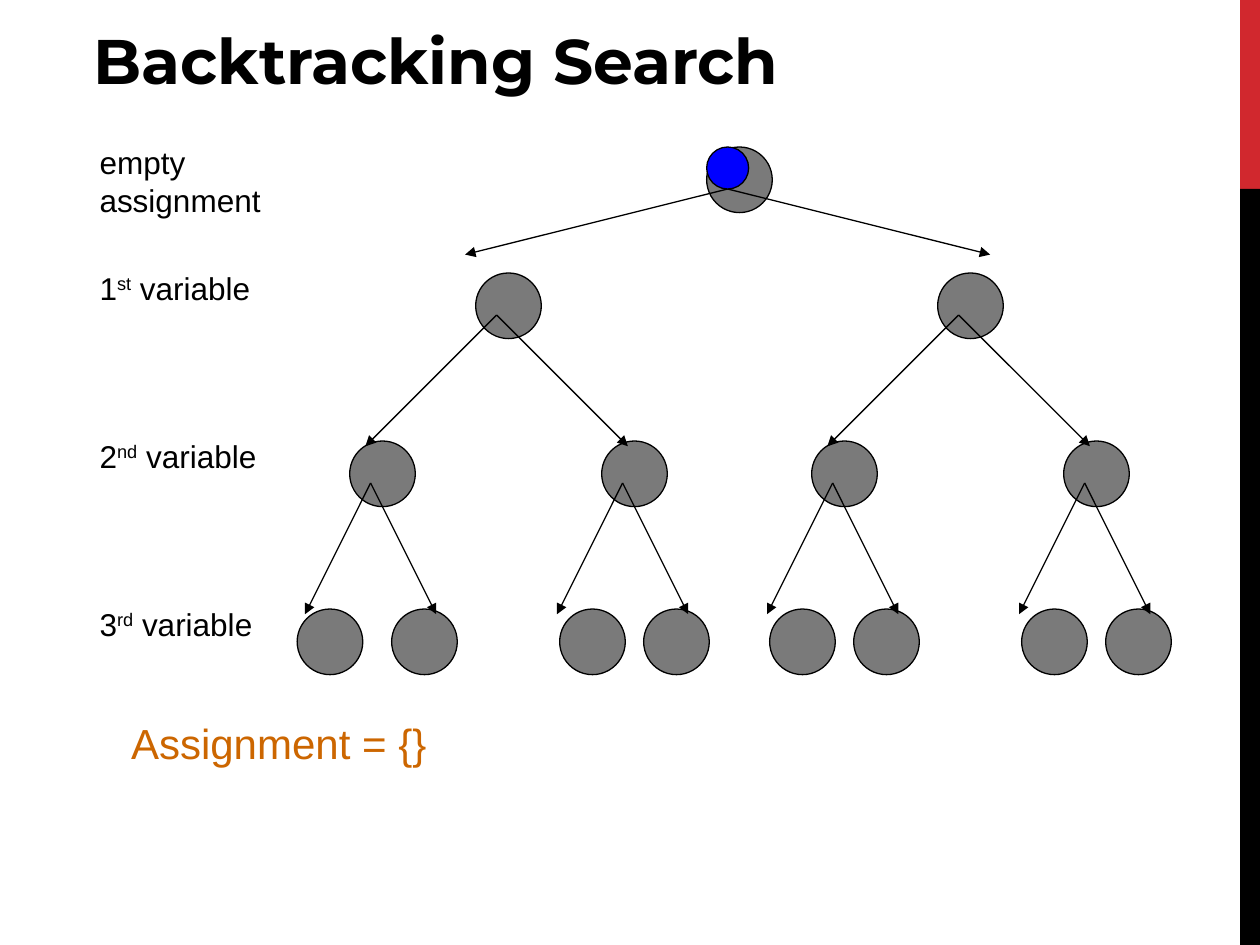
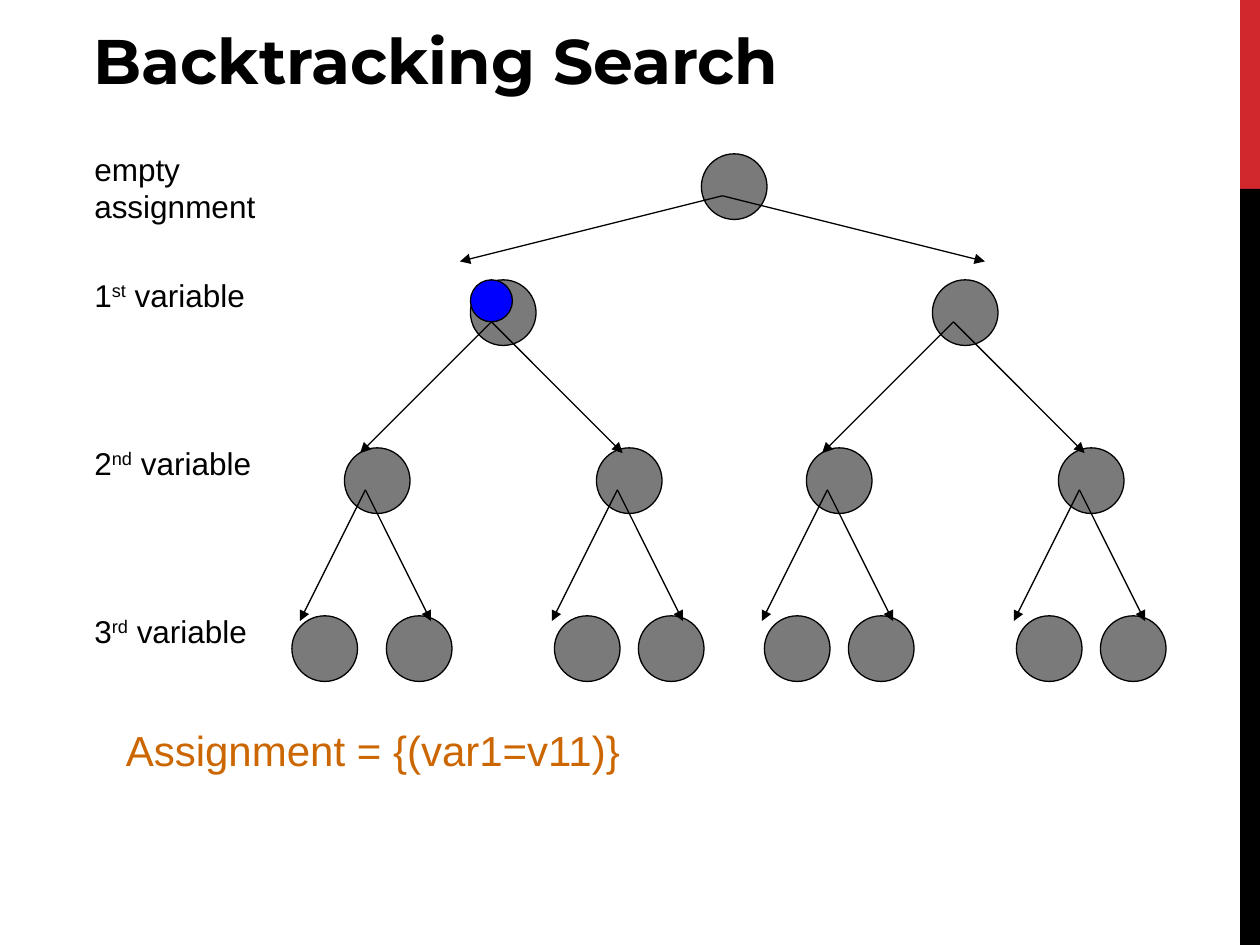
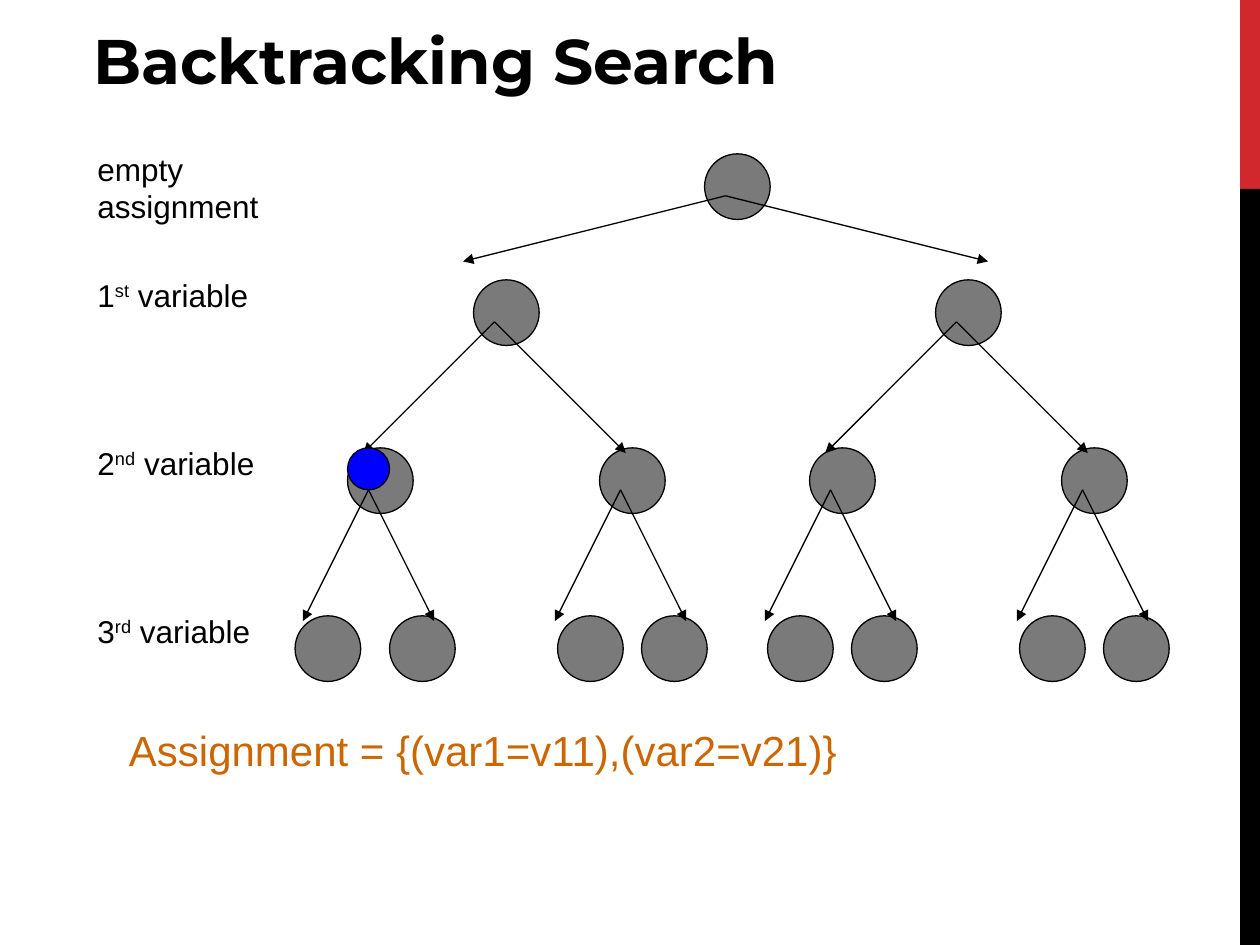
from lxml import etree
from pptx import Presentation
from pptx.dml.color import RGBColor
from pptx.enum.shapes import MSO_CONNECTOR, MSO_SHAPE
from pptx.enum.text import MSO_ANCHOR, MSO_AUTO_SIZE, PP_ALIGN
from pptx.oxml.ns import qn
from pptx.util import Inches, Pt

OVAL, RECT = MSO_SHAPE.OVAL, MSO_SHAPE.RECTANGLE
STRAIGHT = MSO_CONNECTOR.STRAIGHT
TOP, BOTTOM, LEFT = MSO_ANCHOR.TOP, MSO_ANCHOR.BOTTOM, PP_ALIGN.LEFT
NO_FIT = MSO_AUTO_SIZE.NONE
TITLE_ONLY = 5

# Grid of 120 columns by 90 rows on a 10 x 7.5 inch slide
CELL = Inches(1) / 12
WIDTH, HEIGHT = 120, 90

BLACK, GRAY, BLUE, RED, ORANGE = "000000", "7A7A7A", "0000FF", "D1282E", "CC6600"
TITLE_FONT = {"name": "Montserrat", "size": Pt(36), "bold": True}
LABEL_FONT = {"name": "Arial", "size": Pt(18)}
STATE_FONT = {"name": "Arial", "size": Pt(24)}

NODE, MARKER = 6.25, 4
# Row, label runs, label width, node columns, arrow reach and drop
LEVELS = [
    (0, ("empty assignment",), 25, (59,), 25, 6.25),
    (12, ("1", "st", " variable"), 18.75, (37, 81), 12.5, 12.5),
    (28, ("2", "nd", " variable"), 18.75, (25, 49, 69, 93), 6.25, 12.5),
    (44, ("3", "rd", " variable"), 18.75, (20, 29, 45, 53, 65, 73, 89, 97), 0, 0),
]
# Tree origin, level of the current node, assignment, its width
STEPS = [
    ((8.3, 13), 0, "{}", 32),
    ((7.8, 13.65), 1, "{(var1=v11)}", 52),
    ((8.1, 13.65), 2, "{(var1=v11),(var2=v21)}", 73.5),
]


def color(value):
    return RGBColor.from_string(value)


def grid(*cells):
    return [round(c * CELL) for c in cells]


class Deck:
    def __init__(self):
        self.prs = Presentation()
        self.prs.slide_width, self.prs.slide_height = grid(WIDTH, HEIGHT)
        self.slide = None

    def new_slide(self):
        self.slide = self.prs.slides.add_slide(self.prs.slide_layouts[TITLE_ONLY])

    def bands(self):
        """Place the side bands on the master, so that all slides show them."""
        tree = self.prs.slide_master.element.cSld.spTree
        for top, height, fill in ((0, 18, RED), (18, 72, BLACK)):
            sp = self.shape(self.slide, RECT, (118.1, top, 1.9, height), fill)
            tree.append(sp.element)

    def shape(self, parent, kind, box, fill, outline=None):
        sp = parent.shapes.add_shape(kind, *grid(*box))
        sp.shadow.inherit = False
        sp.fill.solid()
        sp.fill.fore_color.rgb = color(fill)
        if outline:
            sp.line.color.rgb = color(outline)
            sp.line.width = Pt(0.75)
        else:
            sp.line.fill.background()
        return sp

    def arrow(self, parent, x, y, dx, dy):
        sp = parent.shapes.add_connector(STRAIGHT, *grid(x, y, x + dx, y + dy))
        sp.line.color.rgb = color(BLACK)
        sp.line.width = Pt(0.75)
        ln = sp.element.spPr.find(qn("a:ln"))
        etree.SubElement(ln, qn("a:tailEnd"), type="triangle")
        etree.SubElement(sp.element.spPr, qn("a:effectLst"))

    def set_text(self, sp, runs, font, fill, anchor=TOP):
        tf = sp.text_frame
        tf.word_wrap, tf.auto_size, tf.vertical_anchor = True, NO_FIT, anchor
        p = tf.paragraphs[0]
        p.alignment = LEFT
        for i, text in enumerate(runs):
            r = p.add_run()
            r.text = text
            for name, value in font.items():
                setattr(r.font, name, value)
            r.font.color.rgb = color(fill)
            if i == 1:  # ordinal suffix
                r._r.get_or_add_rPr().set("baseline", "30000")

    def text(self, parent, box, runs, font, fill):
        self.set_text(parent.shapes.add_textbox(*grid(*box)), runs, font, fill)

    def title(self, text):
        sp = self.slide.shapes.title
        sp.left, sp.top, sp.width, sp.height = grid(6, 2, 105.4, 7.9)
        self.set_text(sp, [text], TITLE_FONT, BLACK, BOTTOM)
        sp.text_frame.margin_left = Inches(0.24)

    def tree(self, x, y):
        group = self.slide.shapes.add_group_shape()
        for row, _, _, cols, _, _ in LEVELS:
            for col in cols:
                box = (x + col, y + row + 1, NODE, NODE)
                self.shape(group, OVAL, box, GRAY, BLACK)
        for row, _, _, cols, reach, drop in LEVELS[:-1]:
            for col in cols:
                for dx in (-reach, reach):
                    self.arrow(group, x + col + 2, y + row + 5, dx, drop)
        for row, label, width, *_ in LEVELS:
            self.text(group, (x, y + row, width, NODE), label, LABEL_FONT, BLACK)


def main():
    deck = Deck()
    for (x, y), level, state, width in STEPS:
        deck.new_slide()
        if level == 0:
            deck.bands()
        deck.title("Backtracking Search")
        deck.tree(x, y)

        # Current node and the assignment so far
        row, _, _, cols, _, _ = LEVELS[level]
        marker = (x + cols[0], y + row + 1, MARKER, MARKER)
        deck.shape(deck.slide, OVAL, marker, BLUE, BLACK)
        deck.text(deck.slide, (x + 3, y + 54.75, width, 6),
                  [f"Assignment = {state}"], STATE_FONT, ORANGE)
    deck.prs.save("out.pptx")


if __name__ == "__main__":
    main()
